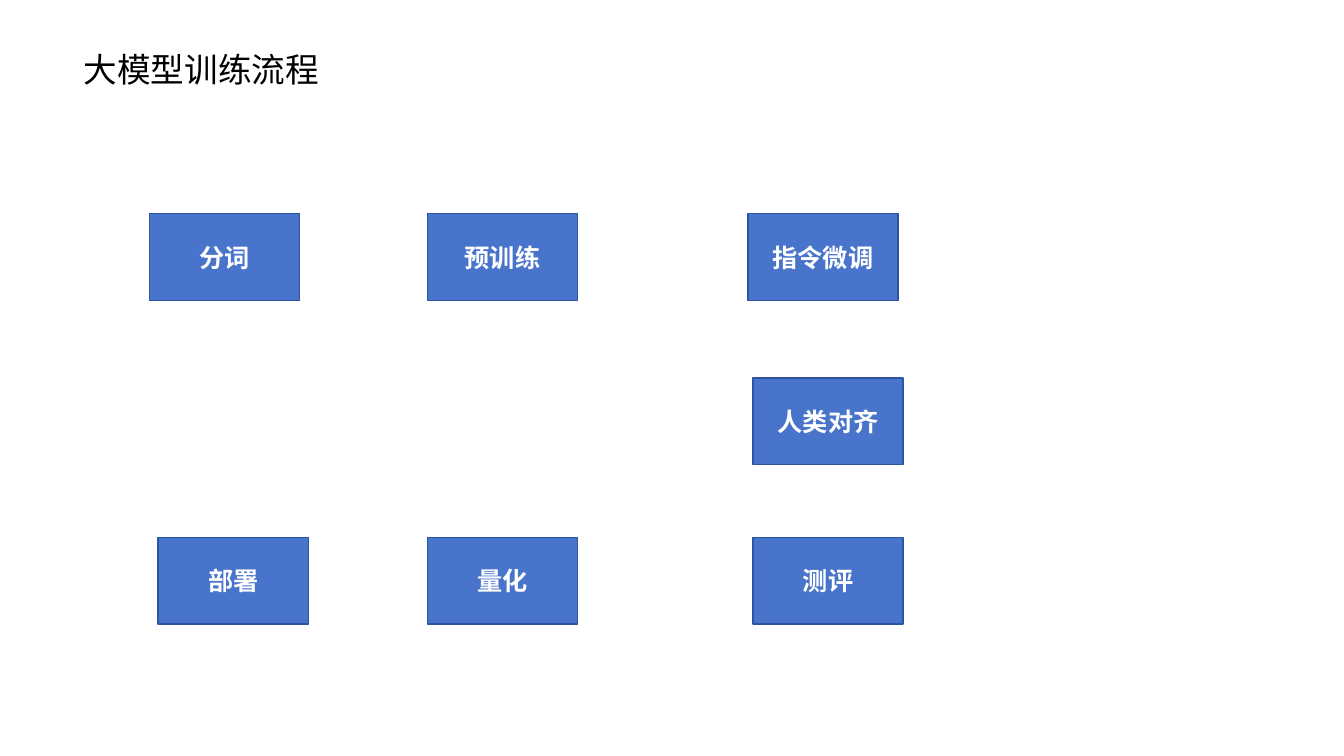
from pptx import Presentation
from pptx.dml.color import RGBColor
from pptx.enum.shapes import MSO_SHAPE as Shape
from pptx.enum.text import MSO_ANCHOR as Anchor, MSO_AUTO_SIZE as AutoSize, PP_ALIGN as Align
from pptx.util import Pt

TITLE = "大模型训练流程"
ROWS = [
    (152.6, [("分词", 106.6), ("预训练", 305.3), ("指令微调", 534.2)]),
    (270, [("人类对齐", 537.8)]),
    (383.8, [("测评", 537.8), ("量化", 305.3), ("部署", 113)]),
]
STEP_WIDTH, STEP_HEIGHT = Pt(107.3), Pt(61.9)
FONT = "Calibri"
BLACK = RGBColor(0x00, 0x00, 0x00)
WHITE = RGBColor(0xFF, 0xFF, 0xFF)
BLUE = RGBColor(0x48, 0x74, 0xCB)
DARK_BLUE = RGBColor(0x2E, 0x54, 0xA1)


def write(shape, text, size, color, bold, align, anchor):
    frame = shape.text_frame
    frame.text = text
    frame.word_wrap = True
    frame.vertical_anchor = anchor
    paragraph = frame.paragraphs[0]
    paragraph.alignment = align
    font = paragraph.font
    font.name, font.size, font.bold = FONT, Pt(size), bold
    font.color.rgb = color


def add_step(slide, text, left, top):
    step = slide.shapes.add_shape(Shape.RECTANGLE, Pt(left), Pt(top), STEP_WIDTH, STEP_HEIGHT)
    step.shadow.inherit = False
    step.fill.solid()
    step.fill.fore_color.rgb = BLUE
    step.line.color.rgb = DARK_BLUE
    step.line.width = Pt(1)
    write(step, text, 18, WHITE, True, Align.CENTER, Anchor.MIDDLE)


def main():
    presentation = Presentation()
    presentation.slide_width, presentation.slide_height = Pt(960), Pt(540)
    slide = presentation.slides.add_slide(presentation.slide_layouts[5])
    title = slide.shapes.title
    title.left, title.top, title.width, title.height = Pt(52.6), Pt(31), Pt(600), Pt(36)
    write(title, TITLE, 24, BLACK, False, Align.LEFT, Anchor.TOP)
    title.text_frame.auto_size = AutoSize.SHAPE_TO_FIT_TEXT
    for top, steps in ROWS:
        for text, left in steps:
            add_step(slide, text, left, top)
    presentation.save("out.pptx")


if __name__ == "__main__":
    main()
